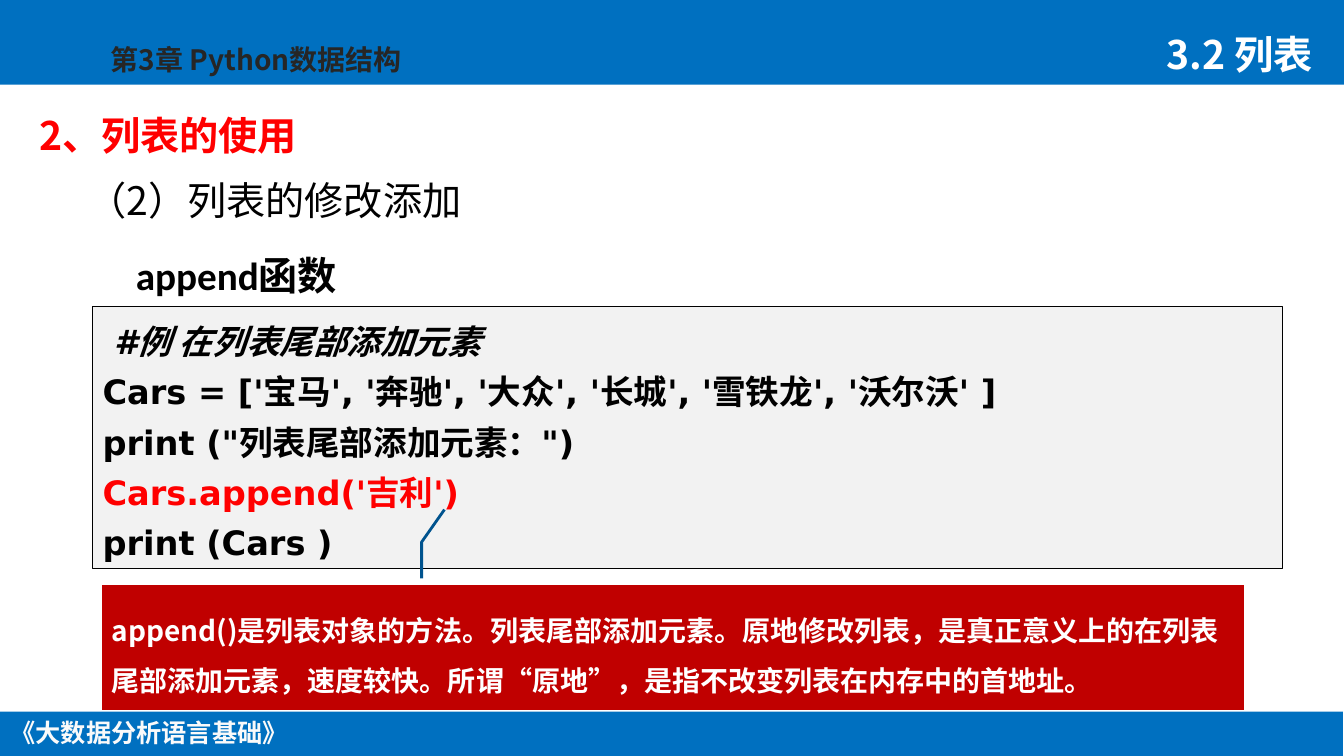
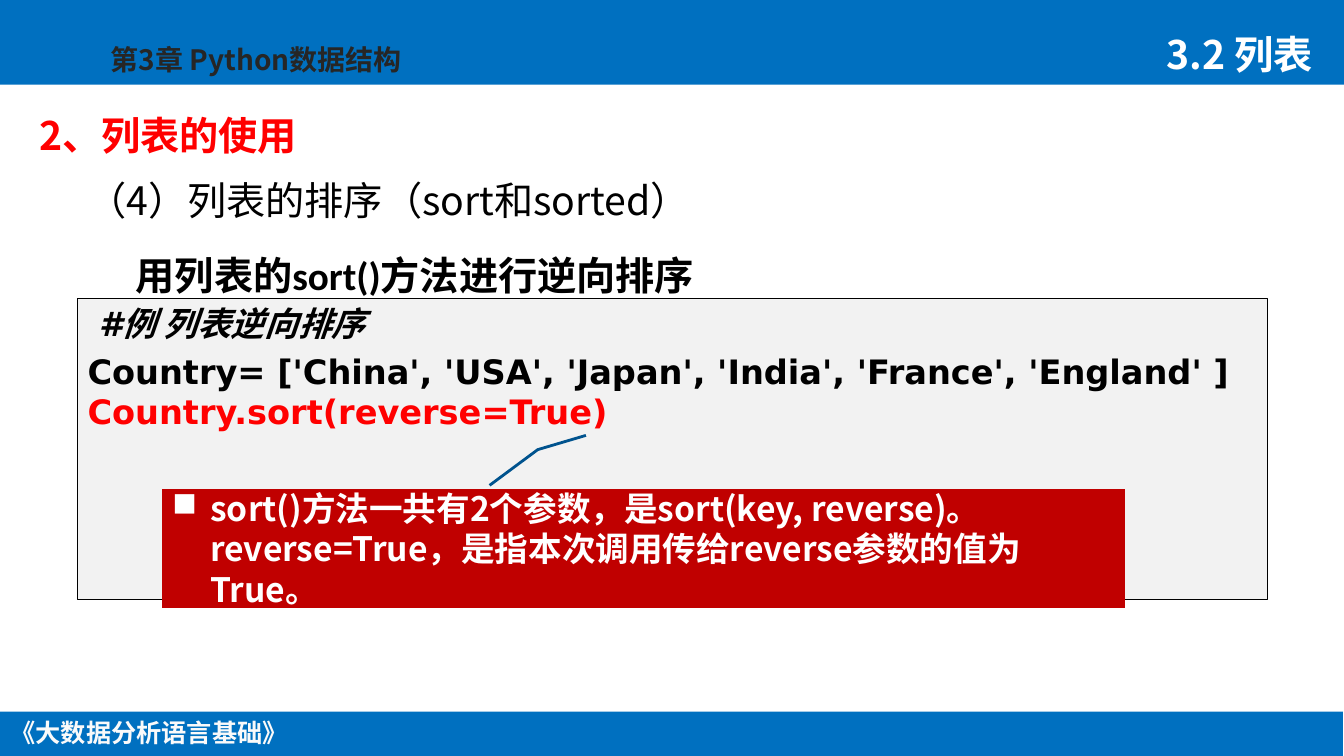
from lxml import etree
from pptx import Presentation
from pptx.dml.color import RGBColor
from pptx.enum.shapes import MSO_SHAPE
from pptx.enum.text import MSO_ANCHOR, PP_ALIGN
from pptx.oxml.ns import qn
from pptx.util import Emu, Pt

RECT, CALLOUT = MSO_SHAPE.RECTANGLE, MSO_SHAPE.LINE_CALLOUT_2_NO_BORDER
TOP, MIDDLE, BOTTOM = MSO_ANCHOR.TOP, MSO_ANCHOR.MIDDLE, MSO_ANCHOR.BOTTOM
LEFT, CENTER, RIGHT = PP_ALIGN.LEFT, PP_ALIGN.CENTER, PP_ALIGN.RIGHT

SCALE = 9144  # 100 px to the inch
WIDTH, HEIGHT = 1334, 750
BLUE, RED, DARK_RED, NAVY = "0070C0", "FF0000", "C00000", "00538E"
WHITE, PALE, GREY, DARK, BLACK = "FFFFFF", "FAFAFA", "F2F2F2", "262626", "000000"
SANS, CODE, LATIN = "Noto Sans CJK SC", "DejaVu Sans", "Calibri"


def px(n):
    return Emu(n * SCALE)


def rgb(color):
    return RGBColor.from_string(color)


class Deck:
    def __init__(self):
        self.prs = Presentation()
        self.prs.slide_width, self.prs.slide_height = px(WIDTH), px(HEIGHT)
        self.s = None

    def style_run(self, r, size, color, bold=True, font=SANS, italic=False):
        r.font.name, r.font.size = font, Pt(size)
        r.font.bold, r.font.italic = bold, italic
        r.font.color.rgb = rgb(color)
        etree.SubElement(r._r.get_or_add_rPr(), qn("a:ea"), typeface=SANS)

    def frame(self, sp, anchor=TOP, wrap=True):
        tf = sp.text_frame
        tf.word_wrap, tf.vertical_anchor = wrap, anchor
        return tf

    def fill_text(self, sp, text, size, color, anchor=TOP, align=LEFT, spacing=None,
                  wrap=True, **style):
        tf = self.frame(sp, anchor, wrap)
        tf.text = text
        p = tf.paragraphs[0]
        p.alignment, p.line_spacing = align, spacing
        self.style_run(p.runs[0], size, color, **style)
        return p

    def text(self, box, *args, **style):
        sp = self.s.shapes.add_textbox(*map(px, box))
        return self.fill_text(sp, *args, **style)

    def shape(self, kind, box, fill, line=None, width=1):
        sp = self.s.shapes.add_shape(kind, *map(px, box))
        sp.shadow.inherit = False
        sp.fill.solid()
        sp.fill.fore_color.rgb = rgb(fill)
        if line:
            sp.line.color.rgb = rgb(line)
            sp.line.width = Pt(width)
        else:
            sp.line.fill.background()
        return sp

    def slide(self, subtitle, topic):
        self.s = self.prs.slides.add_slide(self.prs.slide_layouts[6])
        # Bands, footer and chapter
        self.shape(RECT, (0, 0, WIDTH, 84), BLUE)
        self.shape(RECT, (-1, 706, WIDTH, 45), BLUE)
        self.text((-1, 707, 298, 40), "《大数据分析语言基础》", 18, PALE,
                  align=CENTER, wrap=False)
        self.text((100, 37, 378, 44), "第3章 Python数据结构", 20, DARK)
        # Headings
        self.text((29, 115, 836, 48), "2、列表的使用", 28, RED, BOTTOM, spacing=0.9)
        self.text((77, 179, 836, 48), subtitle, 28, BLACK, BOTTOM, spacing=0.9, bold=False)
        self.text((1117, 8, 196, 74), "3.2 列表", 28, WHITE, BOTTOM, RIGHT, 0.9)
        self.text((125, 226, 883, 94), topic, 28, BLACK, MIDDLE, font=LATIN)

    def code(self, box, paragraphs, spacing=None):
        """Each paragraph is a list of lines; comments are italic, calls red."""
        tf = self.frame(self.shape(RECT, box, GREY, BLACK))
        for i, lines in enumerate(paragraphs):
            p = tf.add_paragraph() if i else tf.paragraphs[0]
            p.alignment, p.line_spacing = LEFT, spacing
            if i:
                p.space_before = Pt(5)
            for j, line in enumerate(lines):
                if j:
                    p.add_line_break()
                r = p.add_run()
                r.text = line
                is_call = line.startswith(("Cars.", "Country."))
                self.style_run(r, 24, RED if is_call else BLACK, font=CODE,
                               italic=line.startswith(" #"))

    def callout(self, box, pointer, text, size, spacing=None, bullet=None):
        sp = self.shape(CALLOUT, box, DARK_RED, NAVY, 2)
        for i, value in enumerate(pointer):
            sp.adjustments[i] = value
        p = self.fill_text(sp, text, size, WHITE, MIDDLE, spacing=spacing)
        if bullet:
            pPr = p._p.get_or_add_pPr()
            pPr.set("marL", str(px(38)))
            pPr.set("indent", str(px(-38)))
            etree.SubElement(pPr, qn("a:buChar"), char=bullet)


def main():
    deck = Deck()

    # Appending to a list
    deck.slide("（2）列表的修改添加", "append函数")
    deck.code((92, 304, 1181, 260), [[
        " #例 在列表尾部添加元素",
        "Cars = ['宝马', '奔驰', '大众', '长城', '雪铁龙', '沃尔沃' ]",
        'print ("列表尾部添加元素：")',
        "Cars.append('吉利')",
        "print (Cars )",
    ]], Pt(35.8))
    deck.callout((101, 580, 1134, 124), (-0.05, 0.28, -0.34, 0.28, -0.6, 0.3),
                 "append()是列表对象的方法。列表尾部添加元素。原地修改列表，"
                 "是真正意义上的在列表尾部添加元素，速度较快。"
                 "所谓“原地”，是指不改变列表在内存中的首地址。", 20, 1.5)

    # Sorting a list
    deck.slide("（4）列表的排序（sort和sorted）", "用列表的sort()方法进行逆向排序")
    deck.code((77, 296, 1181, 299), [
        [" #例 列表逆向排序"],
        ["Country= ['China', 'USA', 'Japan', 'India', 'France', 'England' ]",
         "Country.sort(reverse=True)"],
    ])
    deck.callout((161, 485, 956, 118), (-0.03, 0.34, -0.33, 0.39, -0.45, 0.44),
                 "sort()方法一共有2个参数，是sort(key, reverse)。"
                 "reverse=True，是指本次调用传给reverse参数的值为True。", 24, bullet="■")

    deck.prs.save("out.pptx")


if __name__ == "__main__":
    main()
